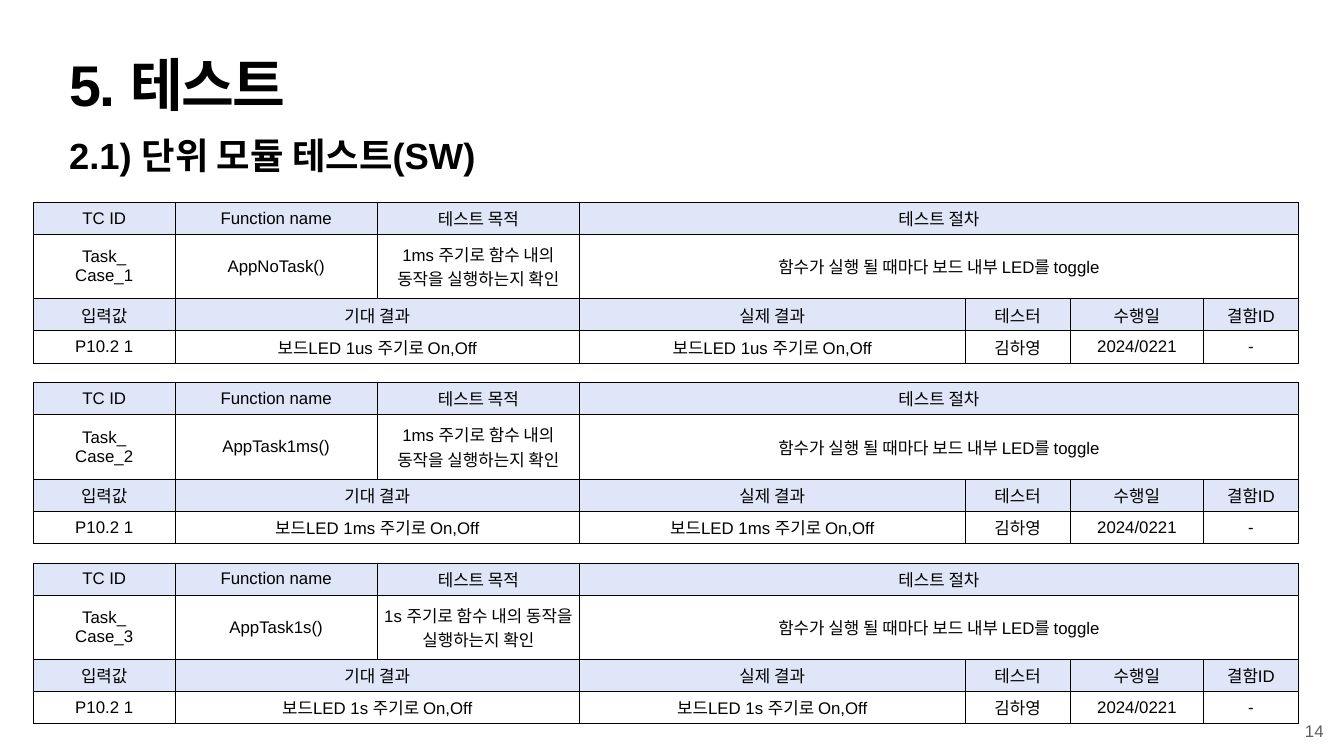
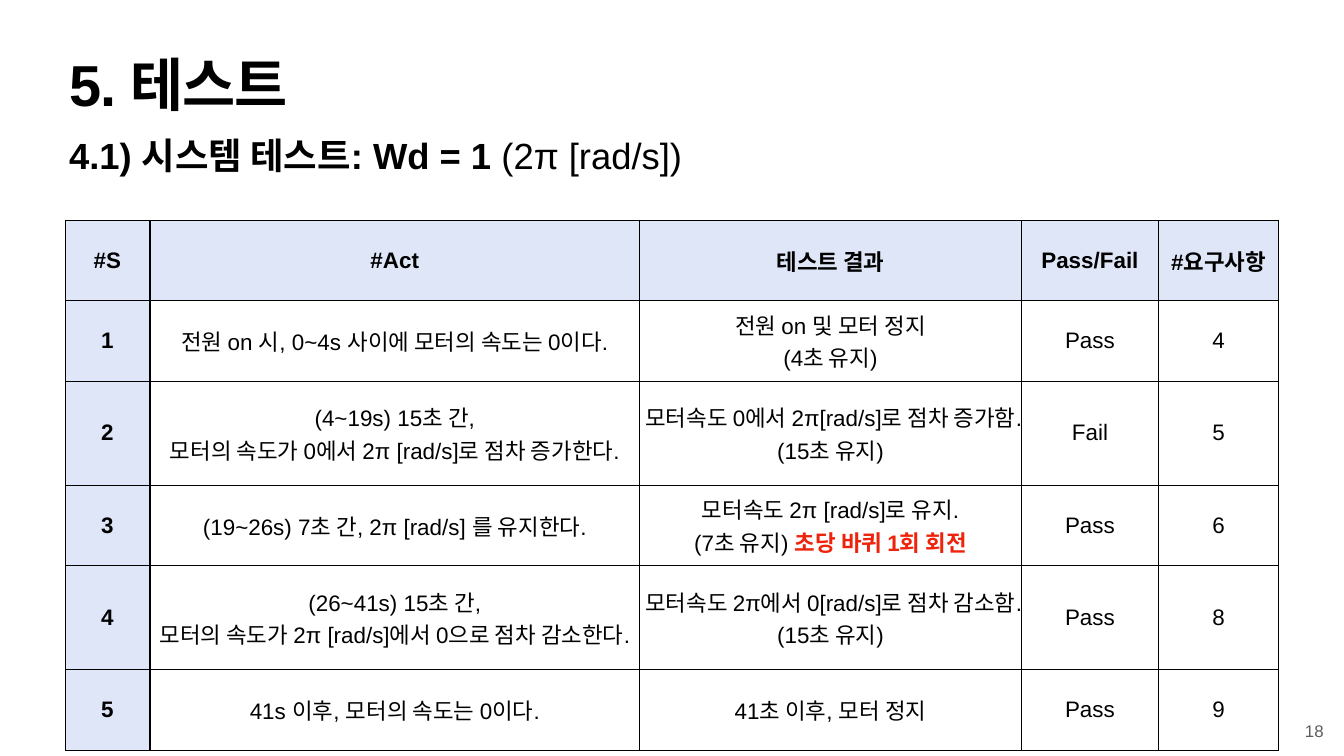
from dataclasses import dataclass

from lxml import etree
from pptx import Presentation
from pptx.dml.color import RGBColor
from pptx.enum import text
from pptx.oxml.ns import qn
from pptx.util import Cm, Pt


@dataclass(frozen=True)
class Theme:
    font: str = "Arial"
    ink: str = "000000"
    header_fill: str = "DFE6F7"
    accent: str = "EE230C"
    muted: str = "5E5E5E"
    title: float = 82
    title_wide: float = 82.5
    subtitle: float = 52
    table: float = 32
    small: float = 24
    thin: float = 1
    thick: float = 3
    inset: float = 0.14


T = Theme()

# Regions in cm: left, top, width, height
TITLE_BOX = (3.35, 3.0, 61.04, 3.99)
SUBTITLE_BOX = (3.35, 6.6, 61.04, 2.59)
PAGE_BOX = (65.6, 36.2, 1.27, 1.27)

CASE_COLS = (7.14, 10.19, 10.19, 19.43, 5.31, 6.71, 4.78)
CASE_ROWS = (1.62, 3.24, 1.62, 1.62)
CASE_LEFT, CASE_TOP, CASE_PITCH = 1.68, 10.19, 9.09
CASES = [  # function name, period of the call, period of the LED
    ("AppNoTask()", "1ms", "1us"),
    ("AppTask1ms()", "1ms", "1ms"),
    ("AppTask1s()", "1s", "1s"),
]

SYSTEM_COLS = (4.27, 24.69, 19.23, 6.92, 6.05)
ROW, TALL_ROW = 4.06, 5.24  # tall rows hold three lines
SYSTEM_ROWS = (ROW, ROW, TALL_ROW, ROW, TALL_ROW, ROW)
SYSTEM_LEFT, SYSTEM_TOP = 3.28, 11.09
SYSTEM_HEAD = ["#S", "#Act", "테스트 결과", "Pass/Fail", "#요구사항"]
SYSTEM_STEPS = [
    (["전원 on 시, 0~4s 사이에 모터의 속도는 0이다."],
     ["전원 on 및 모터 정지", "(4초 유지)"], "Pass", "4"),
    (["(4~19s) 15초 간,", "모터의 속도가 0에서 2π [rad/s]로 점차 증가한다."],
     ["모터속도 0에서 2π[rad/s]로 점차 증가함.", "(15초 유지)"], "Fail", "5"),
    (["(19~26s) 7초 간, 2π [rad/s] 를 유지한다."],
     ["모터속도 2π [rad/s]로 유지.",
      [("(7초 유지) ", {}), ("초당 바퀴 1회 회전", {"color": T.accent, "bold": True})]],
     "Pass", "6"),
    (["(26~41s) 15초 간,", "모터의 속도가 2π [rad/s]에서 0으로 점차 감소한다."],
     ["모터속도 2π에서 0[rad/s]로 점차 감소함.", "(15초 유지)"], "Pass", "8"),
    (["41s 이후, 모터의 속도는 0이다."],
     ["41초 이후, 모터 정지"], "Pass", "9"),
]


# Text
def add_run(p, words, size, color=T.ink, bold=False, spacing=None):
    r = p.add_run()
    r.text = words
    r.font.name = T.font
    r.font.size = Pt(size)
    r.font.bold = bold
    r.font.color.rgb = RGBColor.from_string(color)
    if spacing is not None:
        r.font._element.set("spc", str(int(spacing * 100)))


def write(tf, content, align=text.PP_ALIGN.CENTER, line_spacing=None, **fmt):
    """content: one string, or a list of paragraphs (strings or lists of runs)."""
    paragraphs = [content] if isinstance(content, str) else content
    for i, runs in enumerate(paragraphs):
        p = tf.paragraphs[0] if i == 0 else tf.add_paragraph()
        p.alignment = align
        p.space_before = Pt(0)
        if line_spacing:
            p.line_spacing = line_spacing
        if isinstance(runs, str):
            runs = [(runs, {})]
        for words, own in runs:
            add_run(p, words, **{**fmt, **own})


def set_frame(tf, inset, anchor):
    tf.margin_left = tf.margin_right = tf.margin_top = tf.margin_bottom = Cm(inset)
    tf.vertical_anchor = anchor


# Title and subtitle
def fill_placeholder(sp, box, content, inset=T.inset, **fmt):
    sp.left, sp.top, sp.width, sp.height = (Cm(v) for v in box)
    tf = sp.text_frame
    tf.word_wrap = True
    tf.auto_size = text.MSO_AUTO_SIZE.NONE
    set_frame(tf, inset, text.MSO_ANCHOR.TOP)
    write(tf, content, align=text.PP_ALIGN.LEFT, bold=True, **fmt)
    for p in tf.paragraphs:
        pPr = p._p.get_or_add_pPr()
        pPr.set("marL", "0")
        pPr.set("indent", "0")
        etree.SubElement(pPr, qn("a:buNone"))


# Page number
def add_page_number(slide, box, number):
    tf = slide.shapes.add_textbox(*(Cm(v) for v in box)).text_frame
    tf.word_wrap = False
    tf.auto_size = text.MSO_AUTO_SIZE.SHAPE_TO_FIT_TEXT
    set_frame(tf, T.inset, text.MSO_ANCHOR.MIDDLE)
    write(tf, str(number), size=T.small, color=T.muted)


def new_slide(prs, subtitle, number, title_size=T.title, title_spacing=-2):
    slide = prs.slides.add_slide(prs.slide_layouts[1])
    fill_placeholder(slide.shapes.title, TITLE_BOX, "5. 테스트",
                     size=title_size, spacing=title_spacing, line_spacing=0.8)
    fill_placeholder(slide.placeholders[1], SUBTITLE_BOX, subtitle,
                     inset=0.13, size=T.subtitle)
    add_page_number(slide, PAGE_BOX, number)
    return slide


# Tables
def add_grid(slide, left, top, cols, rows):
    frame = slide.shapes.add_table(len(rows), len(cols), Cm(left), Cm(top),
                                   Cm(sum(cols)), Cm(sum(rows)))
    table = frame.table
    table.first_row = table.horz_banding = False
    for column, width in zip(table.columns, cols):
        column.width = Cm(width)
    for row, height in zip(table.rows, rows):
        row.height = Cm(height)
    return table


def set_borders(cell, **widths):
    tcPr = cell._tc.get_or_add_tcPr()
    for side in "LRTB":
        width = widths.get(side, T.thin)
        ln = etree.SubElement(tcPr, qn(f"a:ln{side}"), w=str(Pt(width)))
        fill = etree.SubElement(ln, qn("a:solidFill"))
        etree.SubElement(fill, qn("a:srgbClr"), val=T.ink)


def style_cell(cell, content, header, size, bold=False, **borders):
    set_borders(cell, **borders)
    if header:
        cell.fill.solid()
        cell.fill.fore_color.rgb = RGBColor.from_string(T.header_fill)
    else:
        cell.fill.background()
    set_frame(cell, T.inset, text.MSO_ANCHOR.MIDDLE)
    if content is not None:
        write(cell.text_frame, content, size=size, bold=bold)


def add_case_table(slide, left, top, index, function, call_period, led_period):
    result = f"보드LED {led_period} 주기로 On,Off"
    # None continues the cell on its left
    rows = [
        ["TC ID", "Function name", "테스트 목적", "테스트 절차", None, None, None],
        [["Task_", f"Case_{index}"], function,
         f"{call_period} 주기로 함수 내의 동작을 실행하는지 확인",
         "함수가 실행 될 때마다 보드 내부 LED를 toggle", None, None, None],
        ["입력값", "기대 결과", None, "실제 결과", "테스터", "수행일", "결함ID"],
        ["P10.2 1", result, None, result, "김하영", "2024/0221", "-"],
    ]
    table = add_grid(slide, left, top, CASE_COLS, CASE_ROWS)
    for r, row in enumerate(rows):
        for c, content in enumerate(row):
            style_cell(table.cell(r, c), content, header=r % 2 == 0, size=T.small)
            end = c
            while end + 1 < len(row) and row[end + 1] is None:
                end += 1
            if content is not None and end > c:
                table.cell(r, c).merge(table.cell(r, end))


def add_system_table(slide, left, top):
    rows = [SYSTEM_HEAD] + [[str(n), *step] for n, step in enumerate(SYSTEM_STEPS, 1)]
    table = add_grid(slide, left, top, SYSTEM_COLS, SYSTEM_ROWS)
    for r, row in enumerate(rows):
        for c, content in enumerate(row):
            header = r == 0 or c == 0
            style_cell(table.cell(r, c), content, header, T.table, bold=header,
                       R=T.thick if c == 0 else T.thin)


# Slides
def unit_test_slide(prs):
    slide = new_slide(prs, "2.1) 단위 모듈 테스트(SW)", 14)
    for i, case in enumerate(CASES):
        add_case_table(slide, CASE_LEFT, CASE_TOP + i * CASE_PITCH, i + 1, *case)


def system_test_slide(prs):
    subtitle = [[("4.1) 시스템 테스트: Wd = 1", {}), (" (2π [rad/s])", {"bold": False})]]
    slide = new_slide(prs, subtitle, 18, title_size=T.title_wide, title_spacing=-1.9)
    add_system_table(slide, SYSTEM_LEFT, SYSTEM_TOP)


def main():
    prs = Presentation()
    prs.slide_width, prs.slide_height = Cm(67.73), Cm(38.1)
    unit_test_slide(prs)
    system_test_slide(prs)
    prs.save("out.pptx")


if __name__ == "__main__":
    main()
